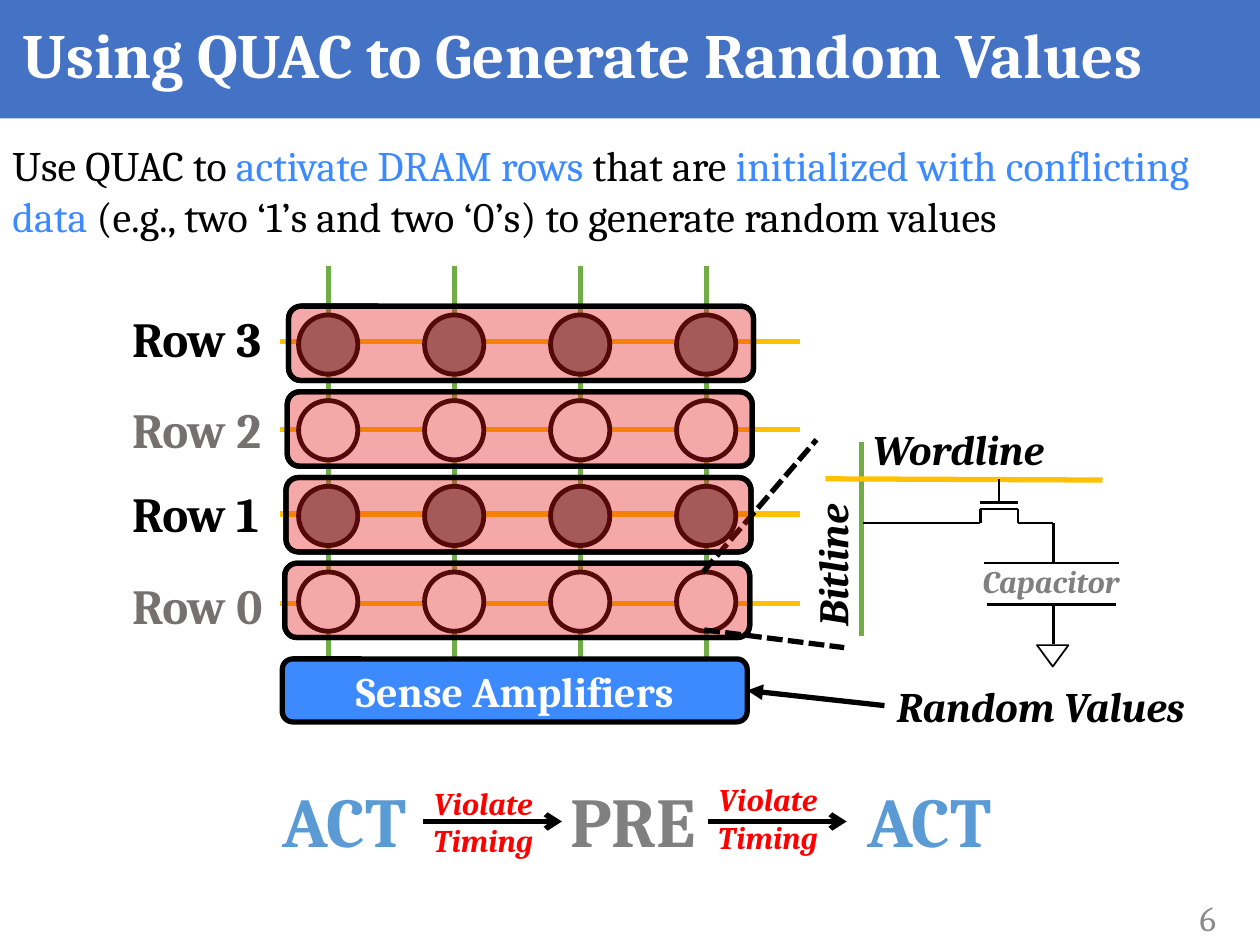
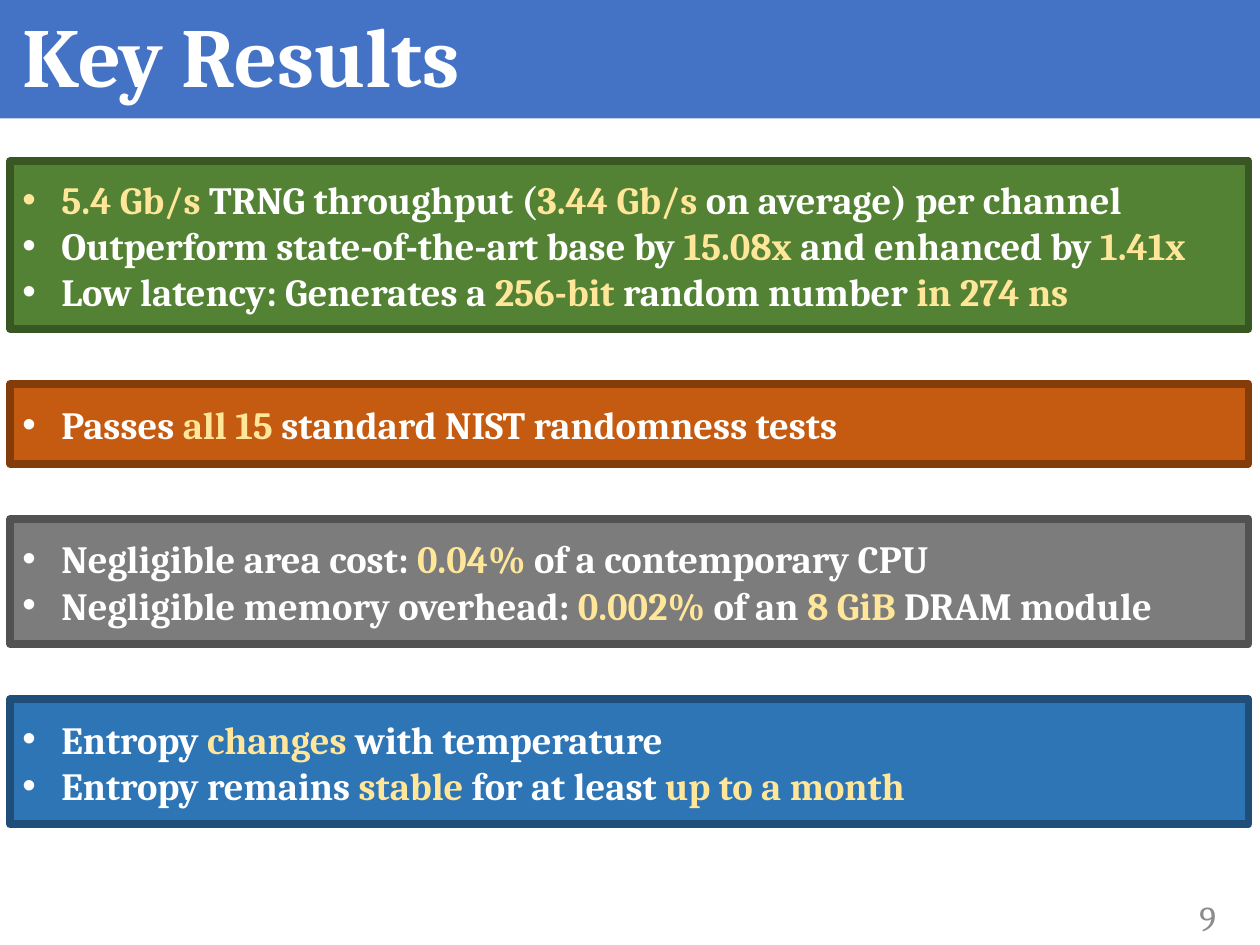
from lxml import etree
from pptx import Presentation
from pptx.dml.color import RGBColor
from pptx.enum.dml import MSO_LINE
from pptx.enum.shapes import MSO_CONNECTOR, MSO_SHAPE
from pptx.enum.text import MSO_ANCHOR, MSO_AUTO_SIZE, PP_ALIGN
from pptx.oxml.ns import qn
from pptx.util import Inches, Pt

FONT = "Cambria"
WHITE = RGBColor(0xFF, 0xFF, 0xFF)
BLACK = RGBColor(0x00, 0x00, 0x00)
RED = RGBColor(0xFF, 0x00, 0x00)
GRAY = RGBColor(0x80, 0x80, 0x80)
LABEL_GRAY = RGBColor(0x76, 0x71, 0x71)
NUMBER_GRAY = RGBColor(0x8C, 0x8C, 0x8C)
BAND_BLUE = RGBColor(0x44, 0x72, 0xC4)
BRIGHT_BLUE = RGBColor(0x3D, 0x8A, 0xFF)
COMMAND_BLUE = RGBColor(0x5B, 0x9B, 0xD5)
WORDLINE_GOLD = RGBColor(0xFF, 0xC0, 0x00)
BITLINE_GREEN = RGBColor(0x70, 0xAD, 0x47)
PALE_YELLOW = RGBColor(0xFF, 0xE6, 0x99)
RESULT_GREEN, DARK_GREEN = RGBColor(0x54, 0x82, 0x35), RGBColor(0x38, 0x57, 0x23)
RESULT_ORANGE, DARK_ORANGE = RGBColor(0xC5, 0x5A, 0x11), RGBColor(0x84, 0x3C, 0x0B)
RESULT_GRAY, DARK_GRAY = RGBColor(0x7C, 0x7C, 0x7C), RGBColor(0x52, 0x52, 0x52)
RESULT_BLUE, DARK_BLUE = RGBColor(0x2E, 0x75, 0xB6), RGBColor(0x1F, 0x4E, 0x79)


def write_paragraph(paragraph, text, size, color, accent=None, bold=True,
                    italic=False, align=PP_ALIGN.LEFT):
    """Write text; the parts between asterisks take the accent colour."""
    paragraph.alignment = align
    font = paragraph.font
    font.name, font.size, font.bold, font.italic = FONT, Pt(size), bold, italic
    font.color.rgb = color
    for index, part in enumerate(text.split("*")):
        if part:
            run = paragraph.add_run()
            run.text = part
            run.font.color.rgb = accent if index % 2 else color


def add_text(slide, box, text, size, color, wrap=True, anchor=MSO_ANCHOR.TOP, **style):
    shape = slide.shapes.add_textbox(*map(Inches, box))
    frame = shape.text_frame
    frame.word_wrap = wrap
    frame.vertical_anchor = anchor
    if anchor == MSO_ANCHOR.TOP:
        frame.auto_size = MSO_AUTO_SIZE.SHAPE_TO_FIT_TEXT
    write_paragraph(frame.paragraphs[0], text, size, color, **style)
    return shape


def add_box(slide, kind, box, fill=None, line=None, width=3, opacity=None):
    shape = slide.shapes.add_shape(kind, *map(Inches, box))
    shape.shadow.inherit = False
    if fill is None:
        shape.fill.background()
    else:
        shape.fill.solid()
        shape.fill.fore_color.rgb = fill
    if opacity is not None:
        color_element = shape._element.spPr.find(qn("a:solidFill"))[0]
        etree.SubElement(color_element, qn("a:alpha"), val=str(opacity * 1000))
    if line is None:
        shape.line.fill.background()
    else:
        shape.line.color.rgb = line
        shape.line.width = Pt(width)
    return shape


def add_line(slide, start, end, color=BLACK, width=3.0, dash=None, arrow=None):
    connector = slide.shapes.add_connector(
        MSO_CONNECTOR.STRAIGHT, *map(Inches, (*start, *end)))
    connector.line.color.rgb = color
    connector.line.width = Pt(width)
    if dash:
        connector.line.dash_style = dash
    properties = connector._element.spPr
    if arrow:
        etree.SubElement(properties.find(qn("a:ln")), qn("a:tailEnd"), type=arrow)
    etree.SubElement(properties, qn("a:effectLst"))


def add_slide(presentation, title, title_size, number):
    slide = presentation.slides.add_slide(presentation.slide_layouts[6])
    add_box(slide, MSO_SHAPE.RECTANGLE, (0, 0, 10, 0.94), BAND_BLUE)
    add_text(slide, (0.08, 0.01, 9.83, 0.83), title, title_size, WHITE,
             anchor=MSO_ANCHOR.MIDDLE)
    add_text(slide, (8.67, 7.08, 1.08, 0.4), str(number), 20, NUMBER_GRAY,
             anchor=MSO_ANCHOR.MIDDLE, bold=False, align=PP_ALIGN.RIGHT)
    return slide


def draw_cell_array(slide, left, top):
    """Draw four DRAM rows crossing four bitlines, above the sense amplifiers."""
    row_pitch, columns = 0.68, range(4)
    # name, cell fill, label colour, label top, wordline height
    rows = [
        ("Row 3", GRAY, BLACK, 0.29, 0.6),
        ("Row 2", WHITE, LABEL_GRAY, 1.01, 1.3),
        ("Row 1", GRAY, BLACK, 1.68, 1.97),
        ("Row 0", WHITE, LABEL_GRAY, 2.41, 2.68),
    ]
    for *_, height in rows:
        add_line(slide, (left + 1.27, top + height), (left + 5.4, top + height),
                 WORDLINE_GOLD)
    for column in columns:
        x = left + 1.66 + column
        add_line(slide, (x, top), (x, top + 3.11), BITLINE_GREEN)
    for row, (name, fill, color, label_top, _) in enumerate(rows):
        for column in columns:
            add_box(slide, MSO_SHAPE.OVAL,
                    (left + 1.42 + column, top + 0.39 + row * row_pitch, 0.47, 0.47),
                    fill, BLACK, 2.75)
        add_text(slide, (left, top + label_top, 1.3, 0.57), name, 28, color, wrap=False)

    amplifiers = add_box(slide, MSO_SHAPE.ROUNDED_RECTANGLE,
                         (left + 1.29, top + 3.12, 3.69, 0.5), BRIGHT_BLUE, BLACK)
    amplifiers.text_frame.vertical_anchor = MSO_ANCHOR.MIDDLE
    write_paragraph(amplifiers.text_frame.paragraphs[0], "Sense Amplifiers", 24, WHITE,
                    align=PP_ALIGN.CENTER)

    for row in reversed(range(len(rows))):
        box = (left + 1.34 - row * 0.01, top + 0.32 + row * row_pitch, 3.69, 0.59)
        for tint, opacity in ((GRAY, 10), (RED, 30)):
            add_box(slide, MSO_SHAPE.ROUNDED_RECTANGLE, box, tint, BLACK, opacity=opacity)
        if row == len(rows) - 1:
            draw_zoom_lines(slide, left + 4.63, top + 2.43)


def draw_zoom_lines(slide, left, top):
    """Link the last cell of the array to its enlarged view."""
    for start, end in (((0, 0), (0.9, -1.05)), ((0.01, 0.46), (1.12, 0.6))):
        add_line(slide, (left + start[0], top + start[1]), (left + end[0], top + end[1]),
                 dash=MSO_LINE.SQUARE_DOT)


def draw_cell_detail(slide, left, top):
    """Draw one cell: its wordline, bitline, transistor and capacitor."""
    add_line(slide, (left + 0.29, top + 0.2), (left + 0.29, top + 1.74), BITLINE_GREEN)
    add_line(slide, (left, top + 0.49), (left + 2.2, top + 0.5), WORDLINE_GOLD)
    add_text(slide, (left + 0.28, top, 1.59, 0.5), "Wordline", 24, BLACK, wrap=False,
             italic=True)
    bitline = add_text(slide, (left - 0.55, top + 0.91, 1.2, 0.5), "Bitline", 24, BLACK,
                       wrap=False, italic=True)
    bitline.rotation = 270
    add_text(slide, (left + 1.15, top + 1.1, 1.3, 0.4), "Capacitor", 18, GRAY, wrap=False,
             italic=True)
    wires = [
        [(1.38, 0.49), (1.38, 0.68)],
        [(1.23, 0.68), (1.53, 0.68)],
        [(0.3, 0.84), (1.23, 0.84), (1.23, 0.73), (1.53, 0.73), (1.53, 0.84),
         (1.81, 0.84), (1.81, 1.15)],
        [(1.26, 1.16), (2.33, 1.16)],
        [(1.28, 1.49), (2.31, 1.49)],
        [(1.81, 1.49), (1.81, 1.8)],
    ]
    for wire in wires:
        points = [(left + x, top + y) for x, y in wire]
        for start, end in zip(points, points[1:]):
            add_line(slide, start, end, width=1.5)
    ground = add_box(slide, MSO_SHAPE.ISOSCELES_TRIANGLE,
                     (left + 1.68, top + 1.81, 0.25, 0.17), line=BLACK, width=1)
    ground.rotation = 180


def draw_output_label(slide, left, top):
    add_line(slide, (left, top + 0.25), (left - 1.09, top + 0.13), arrow="triangle")
    add_text(slide, (left, top, 2.52, 0.5), "Random Values", 24, BLACK, wrap=False,
             italic=True)


def draw_command_sequence(slide, left, top):
    commands = [("ACT", COMMAND_BLUE, 0, 2.19), ("PRE", GRAY, 2.65, 1.47),
                ("ACT", COMMAND_BLUE, 4.84, 1.79)]
    for name, color, offset, width in commands:
        add_text(slide, (left + offset, top, width, 0.77), name, 40, color,
                 align=PP_ALIGN.CENTER)
    for offset, label_top in ((1.46, 0.05), (3.72, 0.02)):
        x = left + offset
        add_line(slide, (x + 0.26, top + 0.4), (x + 1.36, top + 0.4), arrow="arrow")
        add_text(slide, (x, top + label_top, 1.47, 0.71), "Violate Timing", 18, RED,
                 italic=True, align=PP_ALIGN.CENTER)


def add_bullet(paragraph):
    properties = paragraph._p.get_or_add_pPr()
    properties.set("marL", str(Inches(0.31)))
    properties.set("indent", str(-Inches(0.31)))
    etree.SubElement(properties, qn("a:buFont"), typeface="Arial")
    etree.SubElement(properties, qn("a:buChar"), char="•")


def draw_result_box(slide, box, fill, border, lines):
    shape = add_box(slide, MSO_SHAPE.RECTANGLE, box, fill, border, 4.5)
    frame = shape.text_frame
    frame.vertical_anchor = MSO_ANCHOR.MIDDLE
    for index, line in enumerate(lines):
        paragraph = frame.add_paragraph() if index else frame.paragraphs[0]
        add_bullet(paragraph)
        write_paragraph(paragraph, line, 22, WHITE, accent=PALE_YELLOW)


def build_random_values_slide(presentation):
    slide = add_slide(presentation, "Using QUAC to Generate Random Values", 36, 6)
    draw_cell_array(slide, 0.95, 2.11)
    draw_cell_detail(slide, 6.55, 3.31)
    draw_output_label(slide, 7.02, 5.35)
    add_text(slide, (0, 1.06, 10, 0.91),
             "Use QUAC to *activate DRAM rows *that are *initialized with conflicting data *"
             "(e.g., two ‘1’s and two ‘0’s) to generate random values",
             24, BLACK, accent=BRIGHT_BLUE, bold=False)
    draw_command_sequence(slide, 1.64, 6.12)


def build_key_results_slide(presentation):
    slide = add_slide(presentation, "Key Results", 48, 9)
    results = [
        (1.33, RESULT_GREEN, DARK_GREEN, [
            "*5.4 Gb/s *TRNG throughput (*3.44 Gb/s *on average) per channel",
            "Outperform state-of-the-art base by *15.08x *and enhanced by *1.41x*",
            "Low latency: Generates a *256-bit *random number* in 274 ns*"]),
        (0.63, RESULT_ORANGE, DARK_ORANGE, [
            "Passes *all 15 *standard NIST randomness tests"]),
        (0.99, RESULT_GRAY, DARK_GRAY, [
            "Negligible area cost: *0.04% *of a contemporary CPU",
            "Negligible memory overhead: *0.002% *of an *8 GiB *DRAM module"]),
        (0.99, RESULT_BLUE, DARK_BLUE, [
            "Entropy *changes* with temperature",
            "Entropy remains *stable* for at least *up to a month*"]),
    ]
    top, gap = 1.28, 0.44
    for height, fill, border, lines in results:
        draw_result_box(slide, (0.08, top, 9.83, height), fill, border, lines)
        top += height + gap


def main():
    presentation = Presentation()
    presentation.slide_width = Inches(10)
    presentation.slide_height = Inches(7.5)
    build_random_values_slide(presentation)
    build_key_results_slide(presentation)
    presentation.save("out.pptx")


if __name__ == "__main__":
    main()
